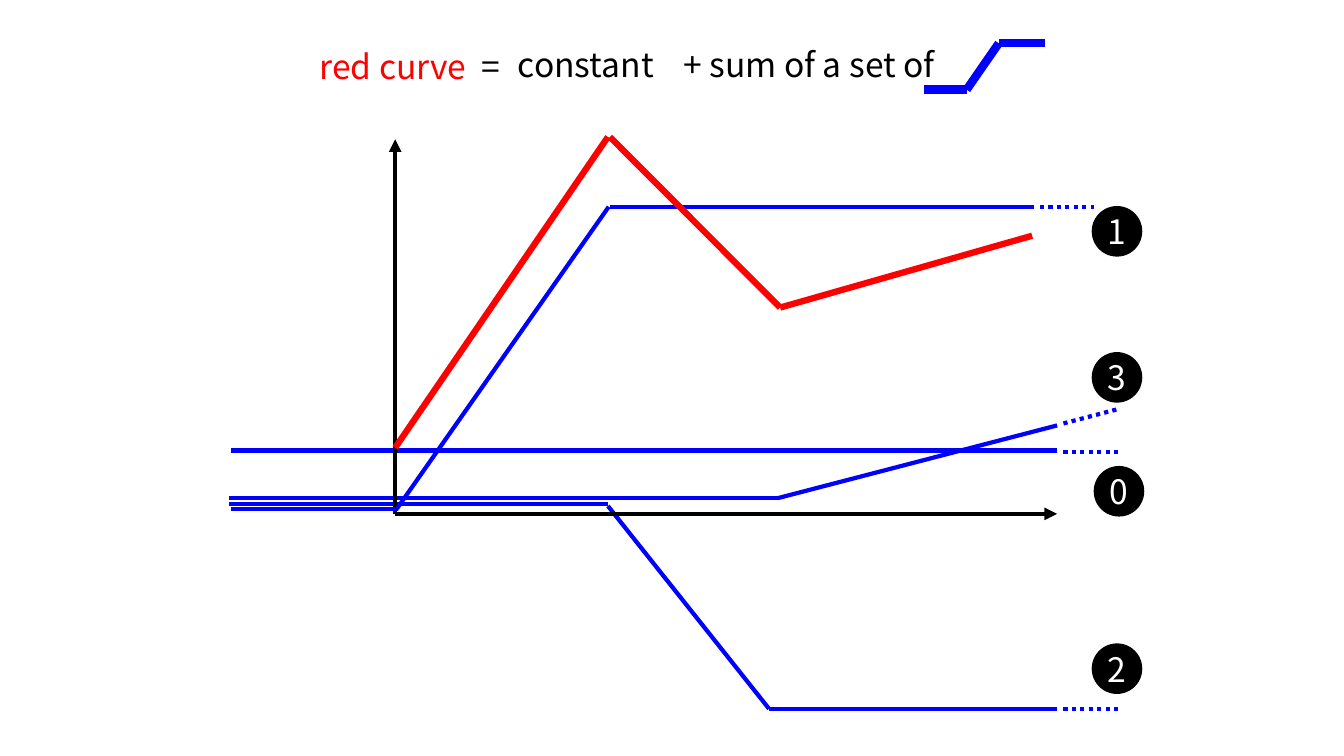
from itertools import pairwise
from lxml import etree
from pptx import Presentation
from pptx.dml.color import RGBColor
from pptx.enum.dml import MSO_LINE
from pptx.enum.shapes import MSO_CONNECTOR, MSO_SHAPE
from pptx.enum.text import MSO_ANCHOR, PP_ALIGN
from pptx.oxml.ns import qn
from pptx.util import Cm, Pt

STRAIGHT = MSO_CONNECTOR.STRAIGHT
DOTTED = MSO_LINE.ROUND_DOT
OVAL = MSO_SHAPE.OVAL
MIDDLE = MSO_ANCHOR.MIDDLE
CENTER = PP_ALIGN.CENTER
FONT = "Noto Sans CJK SC"
COLORS = {
    "blue": "0000FF",
    "red": "FF0000",
    "black": "000000",
    "white": "FFFFFF",
}


def color(name):
    return RGBColor.from_string(COLORS[name])


def draw_path(points, color_name, width, dash=None, arrow=False):
    for start, end in pairwise(points):
        line = page.shapes.add_connector(
            STRAIGHT, *[Cm(value) for value in (*start, *end)]
        )
        line.line.color.rgb = color(color_name)
        line.line.width = Pt(width)
        if dash:
            line.line.dash_style = dash
        properties = line._element.spPr
        if arrow:
            outline = properties.find(qn("a:ln"))
            etree.SubElement(outline, qn("a:tailEnd"), type="triangle")
        etree.SubElement(properties, qn("a:effectLst"))


deck = Presentation()
deck.slide_width = Cm(33.87)
deck.slide_height = Cm(19.05)
page = deck.slides.add_slide(deck.slide_layouts[6])

plot_right = 26.64
origin = (9.96, 12.95)
curve_0 = [[(5.82, 11.35), (plot_right, 11.35)]]
curve_1 = [
    [(5.82, 12.83), (9.96, 12.83)],
    [(9.98, 12.85), (15.34, 5.21)],
    [(15.37, 5.21), (26.06, 5.21)],
]
curve_2 = [
    [(5.77, 12.7), (15.32, 12.7)],
    [(15.32, 12.75), (19.38, 17.86), (plot_right, 17.86)],
]
curve_3 = [
    [(5.77, 12.55), (19.66, 12.55)],
    [(19.61, 12.55), (plot_right, 10.72)],
]
red_curve = [
    [(9.96, 11.28), (15.32, 3.45)],
    [(15.37, 3.45), (19.66, 7.75), (26.01, 5.94)],
]
continuations = [
    [(26.21, 5.21), (27.58, 5.21)],
    [(26.8, 10.67), (28.17, 10.31)],
    [(26.8, 11.38), (28.17, 11.38)],
    [(26.8, 17.86), (28.17, 17.86)],
]

for path in curve_0 + curve_2 + curve_3:
    draw_path(path, "blue", 3)
for axis_end in [(plot_right, 12.95), (9.96, 3.51)]:
    draw_path([origin, axis_end], "black", 3, arrow=True)
for path in curve_1:
    draw_path(path, "blue", 3)
for path in red_curve:
    draw_path(path, "red", 4.5)
for path in continuations:
    draw_path(path, "blue", 3, dash=DOTTED)

badges = [
    ("0", 27.58, 11.76),
    ("1", 27.53, 5.21),
    ("2", 27.53, 16.23),
    ("3", 27.53, 8.89),
]
for label, left, top in badges:
    badge = page.shapes.add_shape(OVAL, Cm(left), Cm(top), Cm(1.24), Cm(1.24))
    badge.shadow.inherit = False
    badge.fill.solid()
    badge.fill.fore_color.rgb = color("black")
    badge.line.color.rgb = color("black")
    badge.line.width = Pt(1)
    frame = badge.text_frame
    frame.margin_left = frame.margin_right = 0
    frame.margin_top = frame.margin_bottom = 0
    frame.vertical_anchor = MIDDLE
    para = frame.paragraphs[0]
    para.text = label
    para.alignment = CENTER
    para.font.name = FONT
    para.font.size = Pt(24)
    para.font.color.rgb = color("white")

step_symbol = [(23.29, 2.26), (24.36, 2.26), (25.17, 1.09), (26.34, 1.09)]
draw_path(step_symbol, "blue", 6)

formula = [
    (17.63, 0.97, None, [("sum of a set of", "black")]),
    (12.8, 0.99, 4.17, [("constant\t+", "black")]),
    (7.8, 1.02, 4.08, [("red curve", "red"), ("\t=", "black")]),
]
for left, top, tab_stop, pieces in formula:
    box = page.shapes.add_textbox(Cm(left), Cm(top), Cm(6.63), Cm(1.27))
    box.text_frame.word_wrap = True
    para = box.text_frame.paragraphs[0]
    if tab_stop:
        tabs = etree.SubElement(para._p.get_or_add_pPr(), qn("a:tabLst"))
        etree.SubElement(tabs, qn("a:tab"), pos=str(Cm(tab_stop)), algn="l")
    para.font.name = FONT
    para.font.size = Pt(24)
    for text, color_name in pieces:
        span = para.add_run()
        span.text = text
        span.font.color.rgb = color(color_name)

deck.save("out.pptx")
